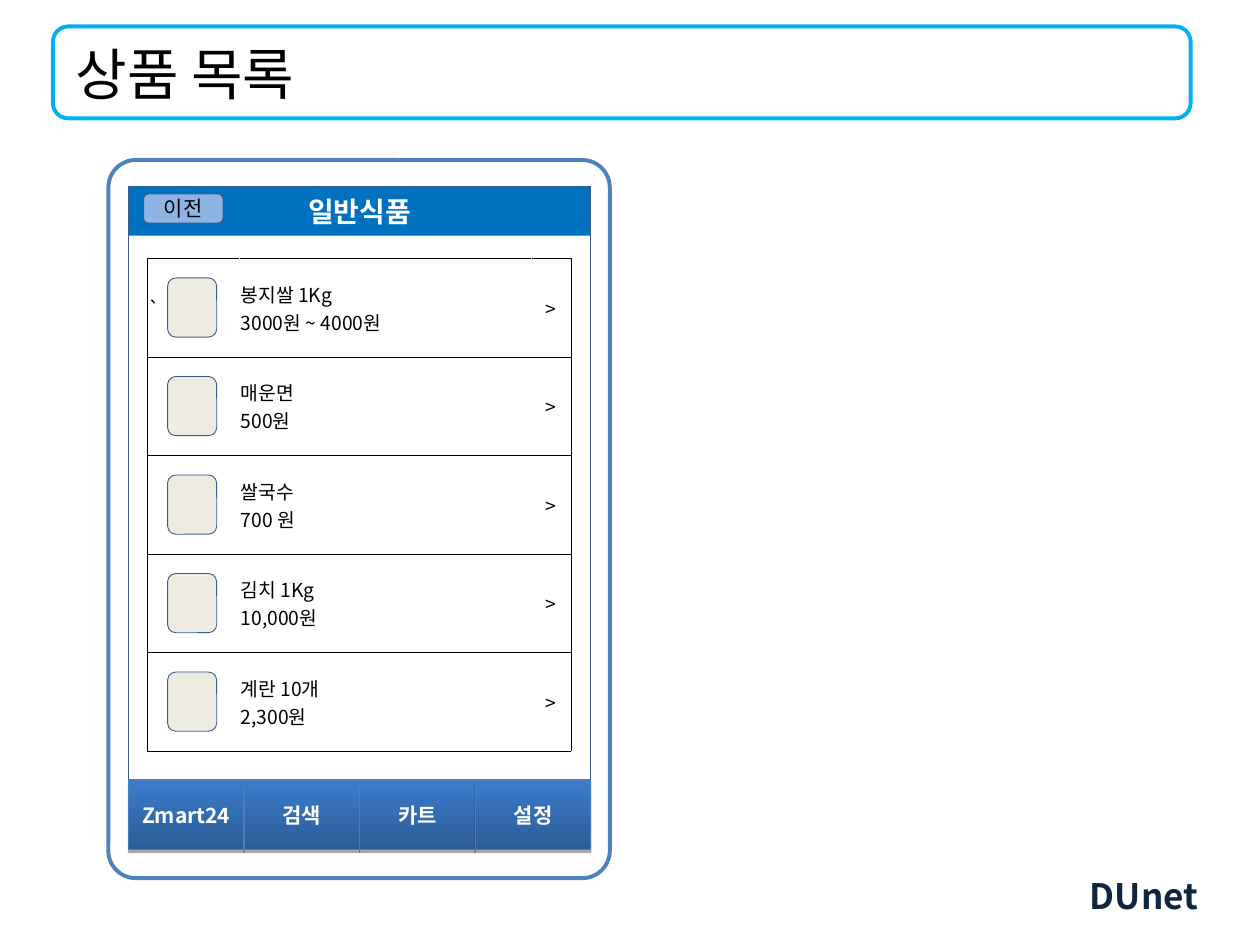
from lxml import etree
from pptx import Presentation
from pptx.dml.color import RGBColor
from pptx.enum.shapes import MSO_SHAPE
from pptx.enum.text import MSO_ANCHOR, PP_ALIGN
from pptx.oxml import parse_xml
from pptx.oxml.ns import nsdecls, qn
from pptx.util import Inches, Pt

RECTANGLE, ROUNDED = MSO_SHAPE.RECTANGLE, MSO_SHAPE.ROUNDED_RECTANGLE
LEFT, CENTER, RIGHT = PP_ALIGN.LEFT, PP_ALIGN.CENTER, PP_ALIGN.RIGHT
MIDDLE = MSO_ANCHOR.MIDDLE
FONT = "Noto Sans CJK KR"
COLORS = {
    "white": "FFFFFF", "black": "000000", "navy": "10253F", "cyan": "00B0F0",
    "phone": "4F81BD", "header": "0070C0", "outline": "385D8A",
    "button": "8EB4E3", "icon": "EEECE1", "tab_line": "4A7EBB",
    "tab_dark": "2C5D98", "tab_light": "3A7CCB",
}


def add_box(kind, left, top, width, height, fill=None, line=None, line_width=0.5, corner=0.167):
    """Add a flat rectangle, measured in inches; no fill or line unless named."""
    shape = slide.shapes.add_shape(
        kind, Inches(left), Inches(top), Inches(width), Inches(height))
    shape.shadow.inherit = False
    if kind == ROUNDED:
        shape.adjustments[0] = corner
    if fill:
        shape.fill.solid()
        shape.fill.fore_color.rgb = RGBColor.from_string(COLORS[fill])
    else:
        shape.fill.background()
    if line:
        shape.line.color.rgb = RGBColor.from_string(COLORS[line])
        shape.line.width = Pt(line_width)
    else:
        shape.line.fill.background()
    return shape


def write(text_frame, lines, size, color, align, bold=False):
    """Write one paragraph per line, with the font set for Latin and Korean."""
    text_frame.vertical_anchor = MIDDLE
    for index, line in enumerate(lines):
        paragraph = text_frame.add_paragraph() if index else text_frame.paragraphs[0]
        paragraph.alignment = align
        run = paragraph.add_run()
        run.text = line
        run.font.size = Pt(size)
        run.font.bold = bold
        run.font.name = FONT
        run.font.color.rgb = RGBColor.from_string(COLORS[color])
        etree.SubElement(run.font._element, qn("a:ea"), typeface=FONT)


presentation = Presentation()
presentation.slide_width = Inches(10)
presentation.slide_height = Inches(7.5)
slide = presentation.slides.add_slide(presentation.slide_layouts[5])

# Title bar and company name
add_box(ROUNDED, 0.42, 0.21, 9.03, 0.73, "white", "cyan", 2.25)
company = slide.shapes.add_textbox(Inches(8.28), Inches(6.88), Inches(1.33), Inches(0.45))
company.text_frame.word_wrap = True
write(company.text_frame, ["DUnet"], 20, "navy", RIGHT, bold=True)

title = slide.shapes.title
title.left, title.top, title.width, title.height = (
    Inches(0.5), Inches(0.3), Inches(9), Inches(0.56))
write(title.text_frame, ["상품 목록"], 32, "black", LEFT)
slide.shapes._spTree.append(title._element)  # in front of the title bar

# Phone and screen header
screen_left, screen_top, screen_width = 1.02, 1.48, 3.67
add_box(ROUNDED, 0.86, 1.27, 3.98, 5.7, line="phone", line_width=2.25, corner=0.055)
header = add_box(RECTANGLE, screen_left, screen_top, screen_width, 0.39, "header")
write(header.text_frame, ["일반식품"], 16, "white", CENTER, bold=True)

# Product list
products = [
    ("봉지쌀 1Kg", "3000원 ~ 4000원"),
    ("매운면", "500원"),
    ("쌀국수", "700 원"),
    ("김치 1Kg", "10,000원"),
    ("계란 10개", "2,300원"),
]
column_widths = [0.73, 2.32, 0.31]
list_left, list_top, list_height = 1.17, 2.05, 3.91
row_height = list_height / len(products)
table = slide.shapes.add_table(
    len(products), len(column_widths), Inches(list_left), Inches(list_top),
    Inches(sum(column_widths)), Inches(list_height)).table
table.first_row = table.horz_banding = False
for column, width in zip(table.columns, column_widths):
    column.width = Inches(width)
last_column = len(column_widths) - 1

for row, product in enumerate(products):
    table.rows[row].height = Inches(row_height)
    contents = [["`"] if row == 0 else [], product, [">"]]
    for column, lines in enumerate(contents):
        cell = table.cell(row, column)
        cell.margin_left = cell.margin_right = Inches(0.01)
        write(cell.text_frame, lines, 11, "black", CENTER if column == last_column else LEFT)
        cell.vertical_anchor = MIDDLE
        borders = {
            "lnL": "black" if column == 0 else "white",
            "lnR": "black" if column == last_column else "white",
            "lnT": "black",
            "lnB": "black",
        }
        for side, color in borders.items():
            width = Pt(0.23 if color == "black" else 0.45)
            cell._tc.get_or_add_tcPr().append(parse_xml(
                f'<a:{side} {nsdecls("a")} w="{width}"><a:solidFill>'
                f'<a:srgbClr val="{COLORS[color]}"/></a:solidFill></a:{side}>'))
        cell.fill.solid()
        cell.fill.fore_color.rgb = RGBColor.from_string(COLORS["white"])

add_box(RECTANGLE, screen_left, screen_top, screen_width, 5.23, line="outline")

# Bottom tabs
tabs = ["Zmart24", "검색", "카트", "설정"]
tab_width = screen_width / len(tabs)
for index, label in enumerate(tabs):
    tab = add_box(RECTANGLE, screen_left + index * tab_width, 6.19, tab_width, 0.55,
                  line="tab_line", line_width=0.75)
    tab.fill.gradient()
    tab.fill.gradient_angle = 90
    for stop, color in zip(tab.fill.gradient_stops, ("tab_dark", "tab_light")):
        stop.color.rgb = RGBColor.from_string(COLORS[color])
    tab._element.spPr.find(qn("a:effectLst")).append(parse_xml(
        f'<a:outerShdw {nsdecls("a")} blurRad="0" dist="{Pt(1.8)}" dir="5400000" '
        f'rotWithShape="0"><a:srgbClr val="{COLORS["black"]}">'
        '<a:alpha val="35000"/></a:srgbClr></a:outerShdw>'))
    write(tab.text_frame, [label], 12, "white", CENTER, bold=True)

# Product icons, centred in their rows
icon_height = 0.47
for row in range(len(products)):
    icon_top = list_top + row * row_height + (row_height - icon_height) / 2
    add_box(ROUNDED, 1.33, icon_top, 0.39, icon_height, "icon", "outline")

back_button = add_box(ROUNDED, 1.14, 1.54, 0.63, 0.23, "button", "outline")
write(back_button.text_frame, ["이전"], 12, "black", CENTER)

presentation.save("out.pptx")
